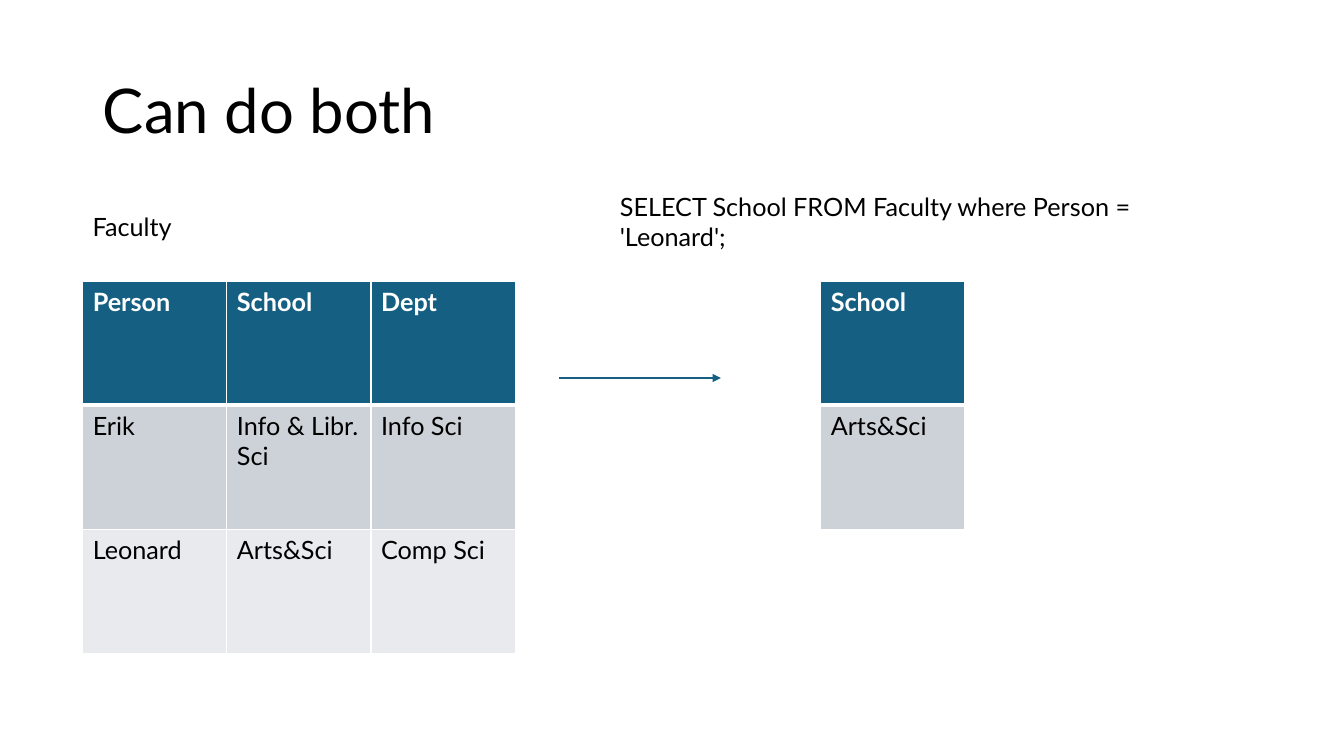
from lxml import etree
from pptx import Presentation
from pptx.dml.color import RGBColor
from pptx.enum.shapes import MSO_CONNECTOR
from pptx.enum.text import MSO_ANCHOR, MSO_AUTO_SIZE, PP_ALIGN
from pptx.oxml.ns import qn
from pptx.util import Inches, Pt

LEFT, MIDDLE = PP_ALIGN.LEFT, MSO_ANCHOR.MIDDLE
NO_FIT, GROW = MSO_AUTO_SIZE.NONE, MSO_AUTO_SIZE.SHAPE_TO_FIT_TEXT
STRAIGHT = MSO_CONNECTOR.STRAIGHT

WIDE, HIGH = 13.33, 7.5
COL, ROW, TOP = 1.43, 1.23, 2.79
COLORS = {"head": "156082", "odd": "CCD2D8", "even": "E8EAED",
          "white": "FFFFFF", "black": "000000"}

TITLE = "Can do both"
TITLE_BOX = (0.92, 0.4, 11.5, 1.45)
LABELS = [
    ("Faculty", (0.82, 2.05, 2.6, 0.4)),
    ("SELECT School FROM Faculty where Person = 'Leonard';",
     (6.05, 1.85, 6, 0.71)),
]
TABLES = [
    (0.82, [("Person", "School", "Dept"),
            ("Erik", "Info & Libr. Sci", "Info Sci"),
            ("Leonard", "Arts&Sci", "Comp Sci")]),
    (8.14, [("School",), ("Arts&Sci",)]),
]
ARROW = (5.54, 3.75, 7.15, 3.75)


def color(name):
    return RGBColor.from_string(COLORS[name])


def write(frame, text, size=18, ink="black", bold=False):
    frame.text = text
    para = frame.paragraphs[0]
    font = para.runs[0].font
    for key, value in {"name": "Lato", "size": Pt(size), "bold": bold}.items():
        setattr(font, key, value)
    font.color.rgb = color(ink)
    return para


def edge(cell, row):
    """Draw white cell borders, thick between the header and the body."""
    props = cell._tc.get_or_add_tcPr()
    widths = {"lnL": 1, "lnR": 1, "lnT": 3 if row == 1 else 1,
              "lnB": 3 if row == 0 else 1}
    for tag, width in widths.items():
        line = etree.SubElement(props, qn("a:" + tag), w=str(Pt(width)))
        fill = etree.SubElement(line, qn("a:solidFill"))
        etree.SubElement(fill, qn("a:srgbClr"), val=COLORS["white"])


def add_grid(slide, left, data):
    rows, cols = len(data), len(data[0])
    box = map(Inches, (left, TOP, cols * COL, rows * ROW))
    table = slide.shapes.add_table(rows, cols, *box).table
    for col in table.columns:
        col.width = Inches(COL)
    for r, texts in enumerate(data):
        table.rows[r].height = Inches(ROW)
        head = r == 0
        shade = "head" if head else ("odd" if r % 2 else "even")
        for c, text in enumerate(texts):
            cell = table.cell(r, c)
            edge(cell, r)
            cell.fill.solid()
            cell.fill.fore_color.rgb = color(shade)
            write(cell.text_frame, text, ink="white" if head else "black",
                  bold=head)


def add_arrow(slide):
    arrow = slide.shapes.add_connector(STRAIGHT, *map(Inches, ARROW))
    arrow.line.color.rgb = color("head")
    arrow.line.width = Pt(1.5)
    etree.SubElement(arrow.line._get_or_add_ln(), qn("a:tailEnd"),
                     type="triangle")
    etree.SubElement(arrow._element.spPr, qn("a:effectLst"))


def main():
    deck = Presentation()
    deck.slide_width, deck.slide_height = Inches(WIDE), Inches(HIGH)
    slide = deck.slides.add_slide(deck.slide_layouts[5])

    title = slide.shapes.title
    title.left, title.top, title.width, title.height = map(Inches, TITLE_BOX)
    para = write(title.text_frame, TITLE, 44)
    para.alignment, para.line_spacing = LEFT, 0.9
    title.text_frame.vertical_anchor = MIDDLE
    title.text_frame.auto_size = NO_FIT

    for text, box in LABELS:
        frame = slide.shapes.add_textbox(*map(Inches, box)).text_frame
        frame.word_wrap = True
        frame.auto_size = GROW
        write(frame, text)
    for left, data in TABLES:
        add_grid(slide, left, data)
    add_arrow(slide)
    deck.save("out.pptx")


if __name__ == "__main__":
    main()
